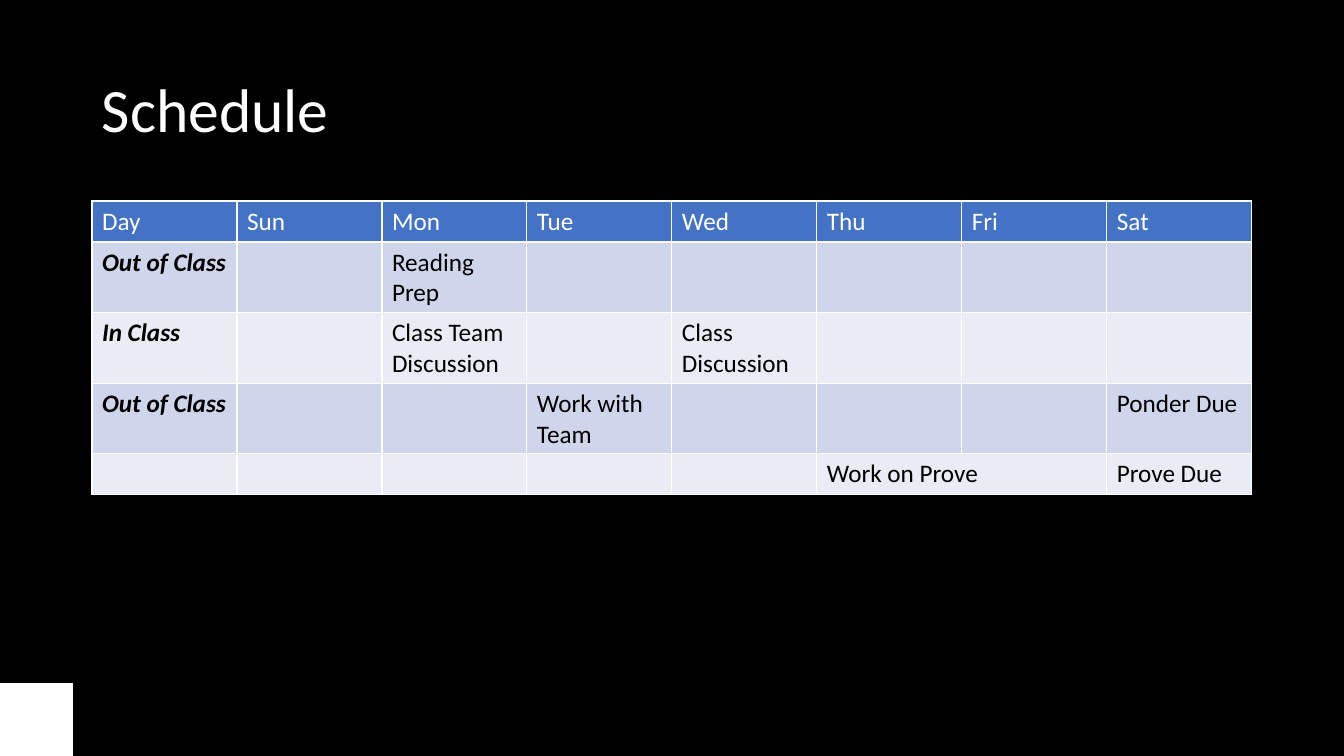
"""Build the weekly class schedule slide."""
import lxml.etree
import pptx
import pptx.dml.color
import pptx.enum.shapes
import pptx.enum.text
import pptx.oxml.ns
import pptx.util

TITLE = "Schedule"
DAYS = ["Day", "Sun", "Mon", "Tue", "Wed", "Thu", "Fri", "Sat"]
ACTIVITIES = [
    {"Day": "Out of Class", "Mon": "Reading Prep"},
    {"Day": "In Class", "Mon": "Class Team Discussion", "Wed": "Class Discussion"},
    {"Day": "Out of Class", "Tue": "Work with Team", "Sat": "Ponder Due"},
    {"Thu": "Work on Prove", "Sat": "Prove Due"},
]
MERGED_DAYS = ("Thu", "Fri")

THEME = {
    "font": "Calibri",
    "title_size": 44,
    "table_size": 18,
    "background": "000000",
    "light": "FFFFFF",
    "dark": "000000",
    "header": "4472C4",
    "bands": ["CFD5EA", "E9EBF5"],
    "border_points": 1,
}
SLIDE_SIZE = (1344, 756)
TITLE_BOX = (92, 40, 1159, 146)
TABLE_ORIGIN = (92, 201)
COLUMN_WIDTH, ROW_HEIGHT = 145, 41
CORNER_SIDE = 73
EMU_PER_PX = 914400 / 100.8


def emu(*lengths):
    return [pptx.util.Emu(round(length * EMU_PER_PX)) for length in lengths]


def paint(fill, color):
    fill.solid()
    fill.fore_color.rgb = pptx.dml.color.RGBColor.from_string(color)


def write(paragraph, text, color, size, **styles):
    run = paragraph.add_run()
    run.text = text
    formats = {"name": THEME["font"], "size": pptx.util.Pt(size), **styles}
    for name, value in formats.items():
        setattr(run.font, name, value)
    paint(run.font.fill, color)


def add_borders(cell):
    properties = cell._tc.get_or_add_tcPr()
    qn = pptx.oxml.ns.qn
    for position, side in enumerate(("a:lnL", "a:lnR", "a:lnT", "a:lnB")):
        line = lxml.etree.Element(qn(side), w=str(pptx.util.Pt(THEME["border_points"])))
        solid = lxml.etree.SubElement(line, qn("a:solidFill"))
        lxml.etree.SubElement(solid, qn("a:srgbClr"), val=THEME["light"])
        properties.insert(position, line)


def add_title(slide):
    frame = slide.shapes.add_textbox(*emu(*TITLE_BOX)).text_frame
    frame.word_wrap = True
    frame.vertical_anchor = pptx.enum.text.MSO_ANCHOR.MIDDLE
    paragraph = frame.paragraphs[0]
    paragraph.line_spacing = 0.9
    write(paragraph, TITLE, THEME["light"], THEME["title_size"])


def add_schedule(slide):
    rows = [dict(zip(DAYS, DAYS)), *ACTIVITIES]
    size = (COLUMN_WIDTH * len(DAYS), ROW_HEIGHT * len(rows))
    table = slide.shapes.add_table(len(rows), len(DAYS), *emu(*TABLE_ORIGIN, *size)).table
    for row_index, activities in enumerate(rows):
        is_header = row_index == 0
        background = THEME["header"] if is_header else THEME["bands"][(row_index - 1) % 2]
        color = THEME["light"] if is_header else THEME["dark"]
        for column_index, day in enumerate(DAYS):
            cell = table.cell(row_index, column_index)
            paint(cell.fill, background)
            add_borders(cell)
            if day in activities:
                is_label = column_index == 0 and not is_header
                write(cell.text_frame.paragraphs[0], activities[day], color,
                      THEME["table_size"], bold=is_label, italic=is_label)
    first, last = (table.cell(len(rows) - 1, DAYS.index(day)) for day in MERGED_DAYS)
    first.merge(last)


def add_corner(slide):
    top = SLIDE_SIZE[1] - CORNER_SIDE
    rectangle = pptx.enum.shapes.MSO_SHAPE.RECTANGLE
    shape = slide.shapes.add_shape(rectangle, *emu(0, top, CORNER_SIDE, CORNER_SIDE))
    shape.shadow.inherit = False
    shape.line.fill.background()
    paint(shape.fill, THEME["light"])


def main():
    presentation = pptx.Presentation()
    presentation.slide_width, presentation.slide_height = emu(*SLIDE_SIZE)
    slide = presentation.slides.add_slide(presentation.slide_layouts[6])
    paint(slide.background.fill, THEME["background"])
    add_corner(slide)
    add_title(slide)
    add_schedule(slide)
    presentation.save("out.pptx")


if __name__ == "__main__":
    main()
